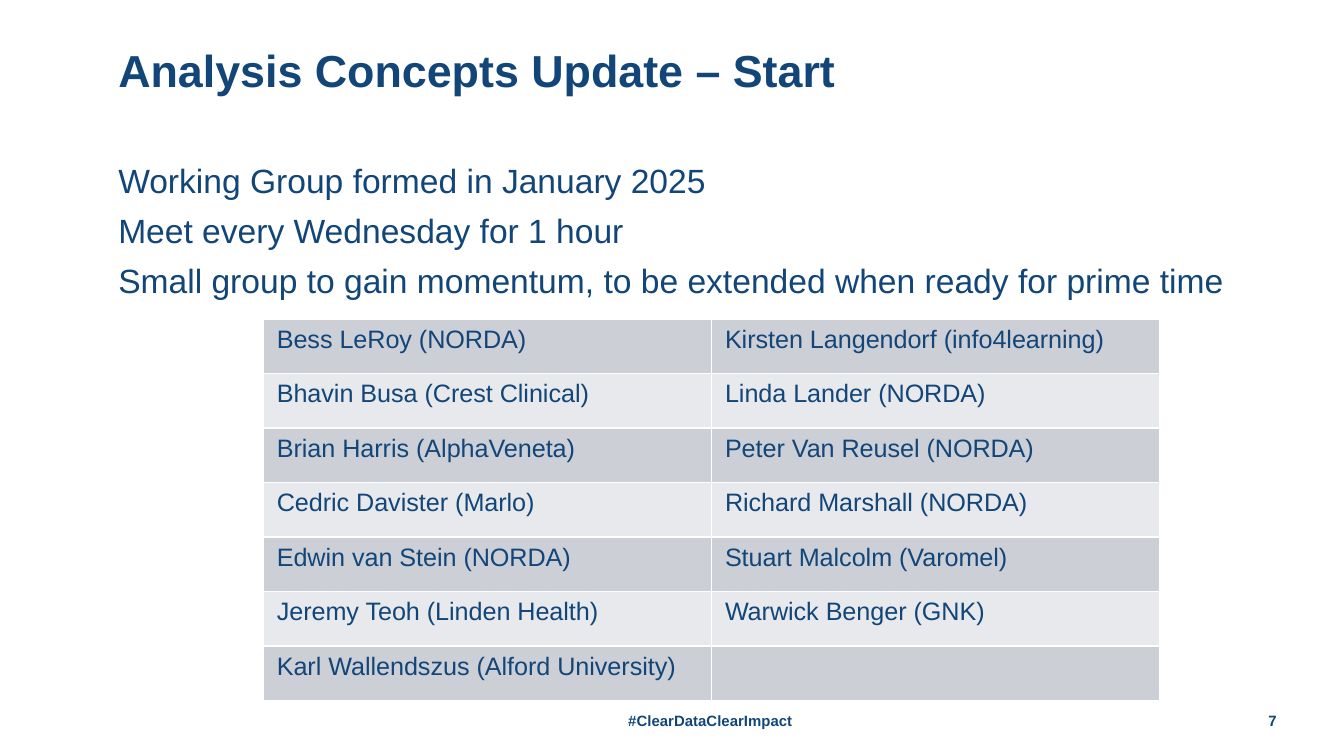
from pptx import Presentation
from pptx.dml.color import RGBColor
from pptx.enum.text import MSO_ANCHOR, PP_ALIGN
from pptx.util import Inches, Pt

WIDE = Inches(10)
HIGH = WIDE * 9 // 16
INK = "134678"
BANDS = ("CCCFD6", "E7E9EC")

POINTS = [
    "Working Group formed in January 2025",
    "Meet every Wednesday for 1 hour",
    "Small group to gain momentum, to be extended when ready for prime time",
]
MEMBERS = [
    ("Bess LeRoy (NORDA)", "Kirsten Langendorf (info4learning)"),
    ("Bhavin Busa (Crest Clinical)", "Linda Lander (NORDA)"),
    ("Brian Harris (AlphaVeneta)", "Peter Van Reusel (NORDA)"),
    ("Cedric Davister (Marlo)", "Richard Marshall (NORDA)\u00a0"),
    ("Edwin van Stein (NORDA)", "Stuart Malcolm (Varomel)"),
    ("Jeremy Teoh (Linden Health)", "Warwick Benger (GNK)"),
    ("Karl Wallendszus (Alford University)", ""),
]


def color(code):
    return RGBColor.from_string(code)


def area(left, top, width, height):
    """Turn percentages of the slide into a box of lengths."""
    return (int(WIDE * left / 100), int(HIGH * top / 100),
            int(WIDE * width / 100), int(HIGH * height / 100))


def style(para, size, bold=False):
    font = para.font
    font.name, font.size, font.bold = "Arial", Pt(size), bold
    font.color.rgb = color(INK)


def write(slide, box, lines, size, bold=False, align=PP_ALIGN.LEFT,
          anchor=MSO_ANCHOR.MIDDLE, lead=1.0, gap=0):
    frame = slide.shapes.add_textbox(*box).text_frame
    frame.word_wrap = True
    frame.vertical_anchor = anchor
    frame.margin_left = frame.margin_right = 0
    frame.margin_top = frame.margin_bottom = 0
    frame.text = "\n".join(lines)
    for para in frame.paragraphs:
        para.alignment = align
        para.line_spacing = lead
        para.space_before = Pt(gap)
        style(para, size, bold)


def add_title(slide, box):
    write(slide, box, ["Analysis Concepts Update – Start"], 24, True, lead=0.9)


def add_body(slide, box):
    write(slide, box, POINTS, 18, anchor=MSO_ANCHOR.TOP, lead=0.9, gap=7.5)


def add_members(slide, box):
    table = slide.shapes.add_table(len(MEMBERS), 2, *box).table
    table.first_row = False
    for r, names in enumerate(MEMBERS):
        for c, name in enumerate(names):
            cell = table.cell(r, c)
            cell.fill.solid()
            cell.fill.fore_color.rgb = color(BANDS[r % 2])
            cell.text = name
            style(cell.text_frame.paragraphs[0], 13.5)


def add_footer(slide, box):
    left, top, width, height = box
    # Page number at the right end, tag in the middle
    tag = int(width * 0.755)
    page = int(width * 0.05)
    write(slide, (left + width - page, top, page, height), ["7"], 8, True,
          PP_ALIGN.RIGHT)
    write(slide, (left, top, tag, height), ["#ClearDataClearImpact"], 8, True,
          PP_ALIGN.CENTER)


def main():
    deck = Presentation()
    deck.slide_width, deck.slide_height = WIDE, HIGH
    slide = deck.slides.add_slide(deck.slide_layouts[6])
    add_title(slide, area(8.8, 0, 86.2, 19.4))
    add_body(slide, area(8.8, 21.7, 86.2, 68.5))
    add_footer(slide, area(27.3, 92.7, 67.7, 5.3))
    add_members(slide, area(19.6, 42.2, 66.7, 50.5))
    deck.save("out.pptx")


if __name__ == "__main__":
    main()
